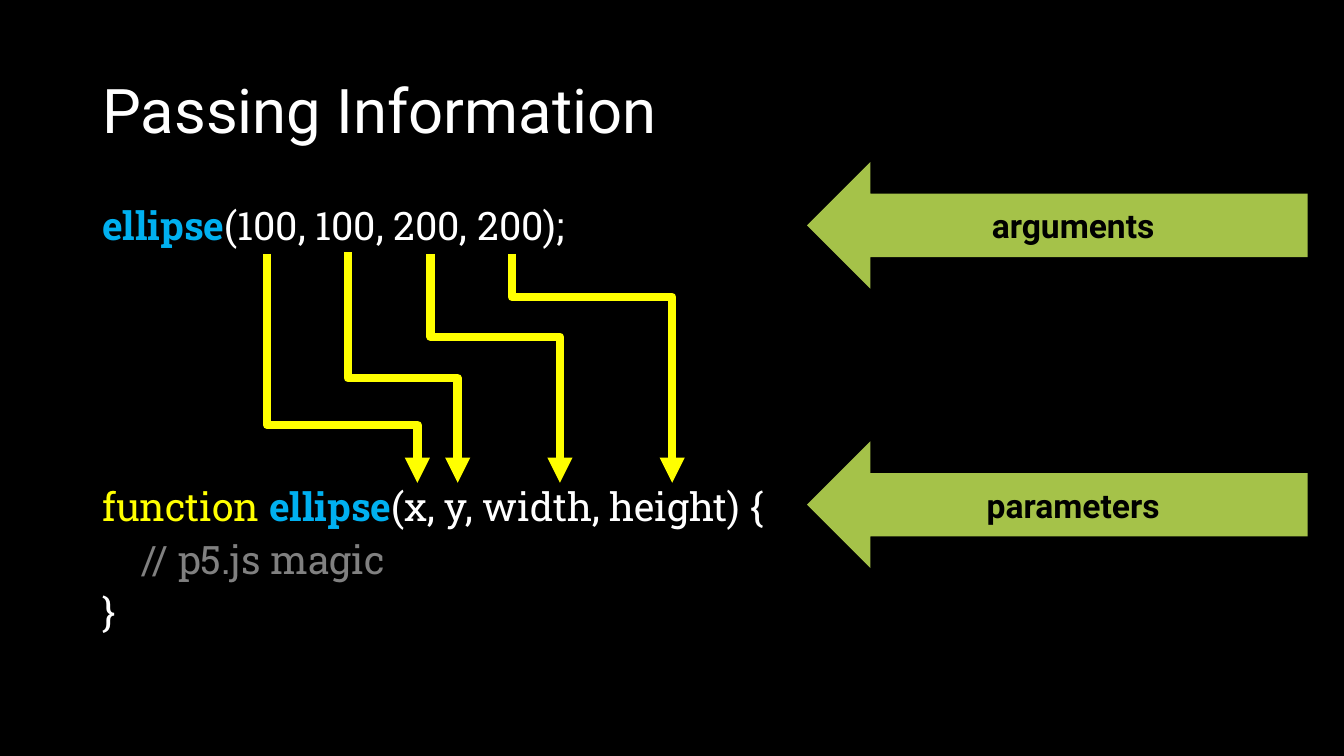
from lxml.etree import SubElement
from pptx import Presentation
from pptx.dml.color import RGBColor
from pptx.enum.shapes import MSO_CONNECTOR, MSO_SHAPE
from pptx.enum.text import MSO_ANCHOR, PP_ALIGN
from pptx.oxml.ns import qn
from pptx.util import Pt

BLACK = RGBColor(0x00, 0x00, 0x00)
WHITE = RGBColor(0xFF, 0xFF, 0xFF)
YELLOW = RGBColor(0xFF, 0xFF, 0x00)
BLUE = RGBColor(0x00, 0xB0, 0xF0)
GREY = RGBColor(0x80, 0x80, 0x80)
GREEN = RGBColor(0xA5, 0xC2, 0x49)

ARROW_TIP = 344.9
CALL = [[("ellipse", BLUE), ("(100, 100, 200, 200);", WHITE)]]
DEFINITION = [
    [("function ", YELLOW), ("ellipse", BLUE), ("(x, y, width, height) {", WHITE)],
    [("    // p5.js magic", GREY)],
    [("}", WHITE)],
]
PASSES = [
    (190.8, 181.4, 298.1, 0.747),
    (248.4, 180, 326.9, 0.546),
    (307.6, 181.4, 400, 0.362),
    (365.6, 181.4, 480.1, 0.188),
]


def add_title(slide, left, top, width, height):
    frame = slide.shapes.add_textbox(Pt(left), Pt(top), Pt(width), Pt(height)).text_frame
    frame.word_wrap = True
    frame.vertical_anchor = MSO_ANCHOR.MIDDLE
    heading = frame.paragraphs[0]
    heading.text = "Passing Information"
    heading.line_spacing = 0.9
    heading.font.name = "Roboto"
    heading.font.size = Pt(44)
    heading.font.color.rgb = WHITE


def add_code(slide, lines, left, top, width, height):
    frame = slide.shapes.add_textbox(Pt(left), Pt(top), Pt(width), Pt(height)).text_frame
    frame.word_wrap = True
    for index, tokens in enumerate(lines):
        line = frame.add_paragraph() if index else frame.paragraphs[0]
        line.line_spacing = 0.9
        line.space_before = Pt(7.5 if index else 0)
        line.font.name = "Roboto Slab"
        line.font.size = Pt(28)
        for word, color in tokens:
            token = line.add_run()
            token.text = word
            token.font.color.rgb = color
            token.font.bold = color == BLUE


def add_pass(slide, start_x, start_y, end_x, end_y, bend):
    center_x, center_y = (start_x + end_x) / 2, (start_y + end_y) / 2
    half_drop, half_shift = (end_y - start_y) / 2, (end_x - start_x) / 2
    link = slide.shapes.add_connector(
        MSO_CONNECTOR.ELBOW,
        Pt(center_x + half_drop), Pt(center_y - half_shift),
        Pt(center_x - half_drop), Pt(center_y + half_shift),
    )
    link.line.color.rgb = YELLOW
    link.line.width = Pt(6)
    properties = link._element.spPr
    properties.find(qn("a:xfrm")).set("rot", "16200000")
    guides = properties.find(qn("a:prstGeom")).find(qn("a:avLst"))
    SubElement(guides, qn("a:gd"), name="adj1", fmla=f"val {round(bend * 100000)}")
    SubElement(properties.find(qn("a:ln")), qn("a:tailEnd"), type="triangle")
    SubElement(properties, qn("a:effectLst"))


def add_label(slide, term, left, top, width, height):
    arrow = slide.shapes.add_shape(
        MSO_SHAPE.LEFT_ARROW, Pt(left), Pt(top), Pt(width), Pt(height))
    arrow.shadow.inherit = False
    arrow.fill.solid()
    arrow.fill.fore_color.rgb = GREEN
    arrow.line.fill.background()
    arrow.text_frame.vertical_anchor = MSO_ANCHOR.MIDDLE
    caption = arrow.text_frame.paragraphs[0]
    caption.text = term
    caption.alignment = PP_ALIGN.CENTER
    caption.font.name = "Roboto"
    caption.font.size = Pt(24)
    caption.font.bold = True
    caption.font.color.rgb = BLACK


def main():
    deck = Presentation()
    deck.slide_width, deck.slide_height = Pt(960), Pt(540)
    slide = deck.slides.add_slide(deck.slide_layouts[6])
    slide.background.fill.solid()
    slide.background.fill.fore_color.rgb = BLACK

    add_title(slide, 66, 28.75, 828, 104.4)
    add_code(slide, CALL, 66, 143.75, 828, 42)
    add_code(slide, DEFINITION, 66, 344.5, 828, 142)
    for start_x, start_y, end_x, bend in PASSES:
        add_pass(slide, start_x, start_y, end_x, ARROW_TIP, bend)
    for term, top in (("arguments", 115.75), ("parameters", 315.25)):
        add_label(slide, term, 576.5, top, 357.5, 90.5)

    deck.save("out.pptx")


if __name__ == "__main__":
    main()
